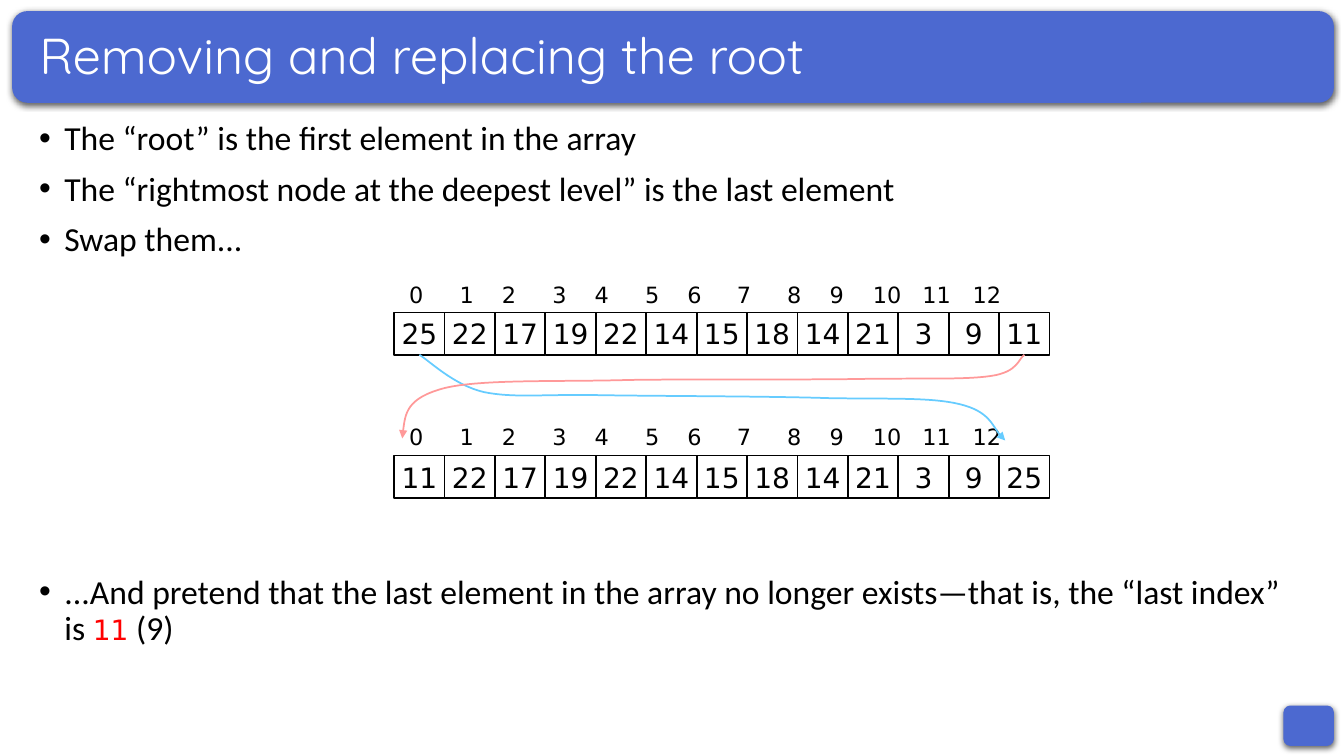
from lxml.etree import SubElement
from pptx import Presentation
from pptx.dml.color import RGBColor
from pptx.enum.shapes import MSO_SHAPE
from pptx.enum.text import MSO_ANCHOR, PP_ALIGN
from pptx.oxml import parse_xml
from pptx.oxml.ns import nsdecls, qn
from pptx.util import Inches, Pt


def color(hex_string):
    return RGBColor.from_string(hex_string)


def set_font(font, name, size, hex_string):
    font.name = name
    font.size = Pt(size)
    font.color.rgb = color(hex_string)


prs = Presentation()
prs.slide_width = Inches(13.33)
prs.slide_height = Inches(7.5)
slide = prs.slides.add_slide(prs.slide_layouts[5])
shapes = slide.shapes

banners = [(0.12, 0.11, 13.11, 0.91), (12.73, 7, 0.5, 0.4)]
for box in banners:
    banner = shapes.add_shape(MSO_SHAPE.ROUNDED_RECTANGLE, *map(Inches, box))
    banner.fill.solid()
    banner.fill.fore_color.rgb = color("4C69D0")
    banner.line.fill.background()
    banner._element.spPr.append(parse_xml(
        f'<a:effectLst {nsdecls("a")}>'
        '<a:outerShdw blurRad="57150" dist="19050" dir="5400000" algn="ctr" rotWithShape="0">'
        '<a:srgbClr val="000000"><a:alpha val="63000"/></a:srgbClr>'
        '</a:outerShdw></a:effectLst>'))
    shapes._spTree.insert(2, banner._element)

title = shapes.title
title.left, title.top, title.width, title.height = map(Inches, (0.29, 0.25, 12.76, 0.65))
title.text_frame.text = "Removing and replacing the root"
title.text_frame.vertical_anchor = MSO_ANCHOR.MIDDLE
heading = title.text_frame.paragraphs[0]
heading.alignment = PP_ALIGN.LEFT
heading.line_spacing = 0.9
set_font(heading.font, "Quicksand", 36, "FFFFFF")

bullets = [
    ("The “root” is the first element in the array", 10),
    ("The “rightmost node at the deepest level” is the last element", 10),
    ("Swap them...", 10),
    ("...And pretend that the last element in the array no longer exists"
     "—that is, the “last index” is ", 226),
]
body = shapes.add_textbox(*map(Inches, (0.29, 1.16, 12.76, 5.6))).text_frame
body.word_wrap = True
for i, (text, gap) in enumerate(bullets):
    bullet = body.paragraphs[0] if i == 0 else body.add_paragraph()
    bullet.add_run().text = text
    bullet.line_spacing = 0.9
    bullet.space_before = Pt(gap)
    set_font(bullet.font, "Calibri", 24, "000000")
    pPr = bullet._p.get_or_add_pPr()
    pPr.set("marL", str(Inches(0.25)))
    pPr.set("indent", str(Inches(-0.25)))
    marker_font = SubElement(pPr, qn("a:buFont"), typeface="Arial")
    marker = SubElement(pPr, qn("a:buChar"), char="•")
    pPr.find(qn("a:defRPr")).addprevious(marker_font)
    marker_font.addnext(marker)
last_index = bullet.add_run()
last_index.text = "11"
bullet.add_run().text = " (9)"
for run in bullet.runs:
    set_font(run.font, "Calibri", 24, "000000")
set_font(last_index.font, "DejaVu Sans", 20, "FF0000")

middle = [22, 17, 19, 22, 14, 15, 18, 14, 21, 3, 9]
heap_rows = [(2.74, 3.1, [25, *middle, 11]), (4.15, 4.52, [11, *middle, 25])]
index_centers = [0.21, 0.71, 1.13, 1.63, 2.05, 2.55, 2.97, 3.46, 3.96, 4.38, 4.88, 5.37, 5.87]
for index_top, cell_top, values in heap_rows:
    for i, value in enumerate(values):
        cell = shapes.add_shape(MSO_SHAPE.RECTANGLE, Inches(3.91 + 0.5 * i),
                                Inches(cell_top), Inches(0.5), Inches(0.42))
        cell.shadow.inherit = False
        cell.fill.background()
        cell.line.color.rgb = color("000000")
        cell.line.width = Pt(1.25)
        cell.text_frame.text = str(value)
        cell.text_frame.word_wrap = False
        cell.text_frame.vertical_anchor = MSO_ANCHOR.MIDDLE
        number = cell.text_frame.paragraphs[0]
        number.alignment = PP_ALIGN.CENTER
        set_font(number.font, "DejaVu Sans", 20, "000000")

    indices = shapes.add_textbox(*map(Inches, (3.82, index_top, 6.92, 0.37))).text_frame
    indices.word_wrap = True
    labels = indices.paragraphs[0]
    labels.text = "".join(f"\t{i}" for i in range(len(values)))
    set_font(labels.font, "DejaVu Sans", 16, "000000")
    pPr = labels._p.get_or_add_pPr()
    tabs = SubElement(pPr, qn("a:tabLst"))
    pPr.find(qn("a:defRPr")).addprevious(tabs)
    for center in index_centers:
        SubElement(tabs, qn("a:tab"), pos=str(Inches(center)), algn="ctr")

swaps = [
    ("66CCFF", [(4.16, 3.52), (4.26, 3.58), (4.5, 3.82), (4.8, 3.89),
                (5.1, 3.95), (5.37, 3.91), (5.94, 3.92),
                (6.51, 3.93), (7.63, 3.93), (8.23, 3.95),
                (8.83, 3.96), (9.23, 3.94), (9.52, 4.01),
                (9.81, 4.08), (9.87, 4.29), (9.97, 4.37)]),
    ("FF9999", [(10.16, 3.52), (10.1, 3.56), (10.1, 3.69), (9.83, 3.73),
                (9.56, 3.77), (9.13, 3.75), (8.53, 3.76),
                (7.93, 3.77), (6.93, 3.76), (6.24, 3.77),
                (5.55, 3.79), (4.78, 3.76), (4.41, 3.85),
                (4.03, 3.95), (4.01, 4.15), (3.99, 4.35)]),
]
for hex_string, points in swaps:
    start, *controls = [(Inches(x), Inches(y)) for x, y in points]
    builder = shapes.build_freeform(*start)
    builder.add_line_segments(controls, close=False)
    arrow = builder.convert_to_shape()
    arrow.shadow.inherit = False
    arrow.fill.background()
    arrow.line.color.rgb = color(hex_string)
    arrow.line.width = Pt(1.25)
    SubElement(arrow.line._get_or_add_ln(), qn("a:tailEnd"), type="triangle")
    outline = next(arrow._element.iter(qn("a:path")))
    segments = outline.findall(qn("a:lnTo"))
    for i in range(0, len(segments), 3):
        curve = SubElement(outline, qn("a:cubicBezTo"))
        for segment in segments[i:i + 3]:
            curve.append(segment[0])
            outline.remove(segment)

prs.save("out.pptx")
